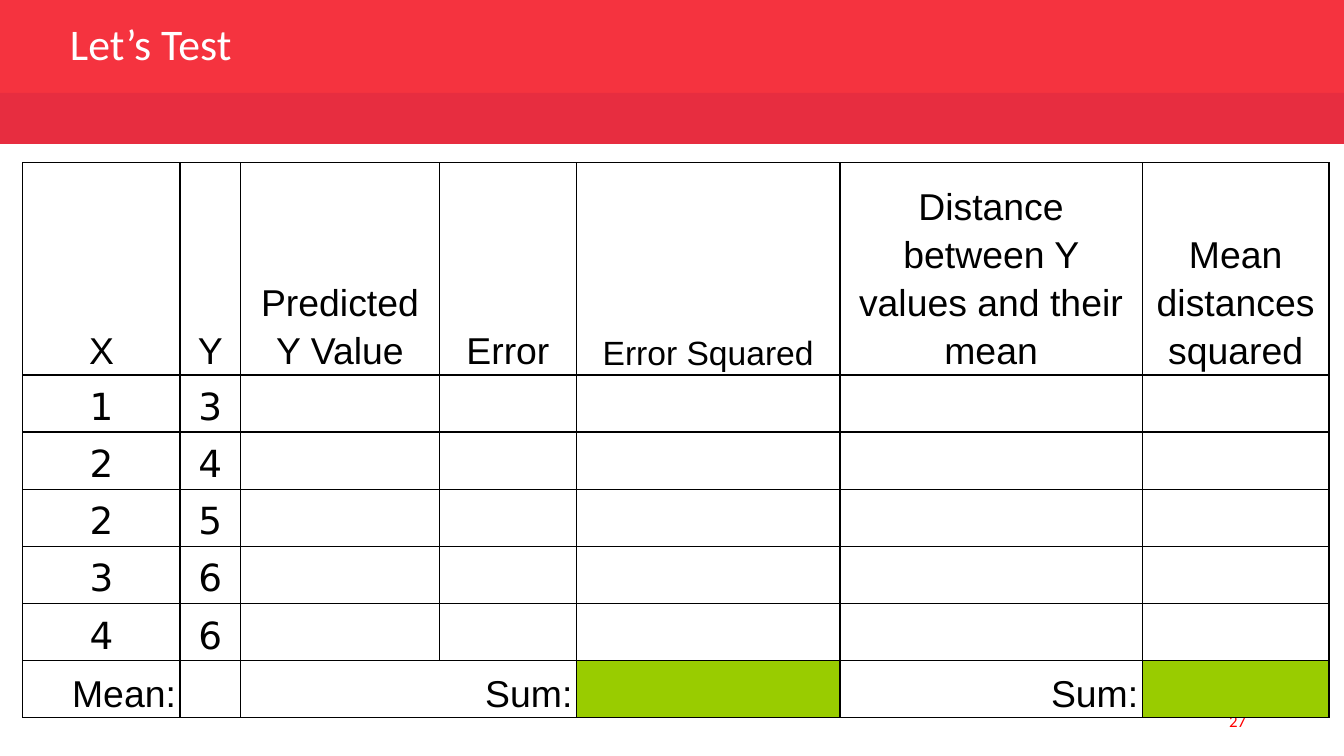
"""Build the "Let's Test" slide with its regression error worksheet."""
import pptx
import pptx.dml.color
import pptx.enum.shapes
import pptx.enum.text
import pptx.oxml
import pptx.oxml.ns
import pptx.util

Inches, Pt = pptx.util.Inches, pptx.util.Pt
ALIGN = pptx.enum.text.PP_ALIGN
ANCHOR = pptx.enum.text.MSO_ANCHOR

TITLE = "Let’s Test"
PAGE = "27"
HEADERS = ["X", "Y", "Predicted Y Value", "Error", "Error Squared",
           "Distance between Y values and their mean", "Mean distances squared"]
POINTS = [(1, 3), (2, 4), (2, 5), (3, 6), (4, 6)]
TOTALS = ["Mean:", "", "Sum:", "", "", "Sum:", ""]
ROWS = [HEADERS] + [[str(x), str(y)] + [""] * 5 for x, y in POINTS] + [TOTALS]
COL_WIDTHS = [1.17, 0.45, 1.48, 1.02, 1.96, 2.25, 1.39]
TABLE_BOX = (0.17, 1.21, 9.72, 4.13)
HEADER_HEIGHT = 1.58
BANDS = {"header": ((0, 0, 10, 0.7), "F5333F"), "strip": ((0, 0.69, 10, 0.38), "E72D40")}
RESULT_COLS = (4, 6)
BODY_INSETS = {"margin_left": 0.03, "margin_right": 0.03, "margin_top": 0.02, "margin_bottom": 0.02}
HEADER_INSETS = {**BODY_INSETS, "margin_left": 0.04, "margin_right": 0.04}


def rgb(value):
    return pptx.dml.color.RGBColor.from_string(value)


def box(values):
    return [Inches(v) for v in values]


def apply(obj, formats):
    for name, value in formats.items():
        setattr(obj, name, value)


def write(tf, text, size, font, color, **paragraph):
    p = tf.paragraphs[0]
    apply(p, paragraph)
    r = p.add_run()
    r.text = text
    apply(r.font, {"size": Pt(size), "name": font})
    r.font.color.rgb = rgb(color)


def add_band(s, name):
    place, color = BANDS[name]
    sp = s.shapes.add_shape(pptx.enum.shapes.MSO_SHAPE.RECTANGLE, *box(place))
    sp.shadow.inherit = False
    sp.fill.solid()
    sp.fill.fore_color.rgb = rgb(color)
    sp.line.fill.background()
    return sp


def add_borders(cell):
    tcPr = cell._tc.get_or_add_tcPr()
    for side in "LRTB":
        tcPr.append(pptx.oxml.parse_xml(
            f'<a:ln{side} {pptx.oxml.ns.nsdecls("a")} w="{Pt(0.75)}"><a:solidFill>'
            f'<a:srgbClr val="000000"/></a:solidFill></a:ln{side}>'))


def format_cell(cell, row, col):
    last = len(ROWS) - 1
    insets = BODY_INSETS if row else HEADER_INSETS
    apply(cell, {name: Inches(v) for name, v in insets.items()})
    cell.vertical_anchor = ANCHOR.BOTTOM
    add_borders(cell)
    if row == last and col in RESULT_COLS:
        cell.fill.solid()
        cell.fill.fore_color.rgb = rgb("99CC00")
    else:
        cell.fill.background()
    text = ROWS[row][col]
    if text:
        write(cell.text_frame, text, 18 if text == "Error Squared" else 20,
              "Arial" if row in (0, last) else "DejaVu Sans", "000000",
              alignment=ALIGN.RIGHT if row == last else ALIGN.CENTER, line_spacing=1.15)


def add_worksheet(s):
    table = s.shapes.add_table(len(ROWS), len(HEADERS), *box(TABLE_BOX)).table
    apply(table, {"first_row": False, "horz_banding": False})
    for column, width in zip(table.columns, COL_WIDTHS):
        column.width = Inches(width)
    body_height = (TABLE_BOX[3] - HEADER_HEIGHT) / (len(ROWS) - 1)
    for i, row in enumerate(table.rows):
        row.height = Inches(body_height if i else HEADER_HEIGHT)
        for j, cell in enumerate(row.cells):
            format_cell(cell, i, j)
    last = len(ROWS) - 1
    table.cell(last, 2).merge(table.cell(last, 3))


def main():
    prs = pptx.Presentation()
    apply(prs, {"slide_width": Inches(10), "slide_height": Inches(10) * 9 // 16})
    s = prs.slides.add_slide(prs.slide_layouts[5])

    title = s.shapes.title
    apply(title, dict(zip(("left", "top", "width", "height"), box((0.42, 0.14, 4.69, 0.44)))))
    title._element.addprevious(add_band(s, "header")._element)
    page = s.shapes.add_textbox(*box((7.12, 5.21, 2.25, 0.3)))
    for sp in (title, page):
        apply(sp.text_frame, {"word_wrap": True, "vertical_anchor": ANCHOR.MIDDLE,
                              "auto_size": pptx.enum.text.MSO_AUTO_SIZE.NONE})
    write(title.text_frame, TITLE, 23.4, "Calibri", "FFFFFF",
          alignment=ALIGN.LEFT, line_spacing=0.8)
    write(page.text_frame, PAGE, 9, "Calibri", "FF0000", alignment=ALIGN.RIGHT)

    add_band(s, "strip")
    add_worksheet(s)
    prs.save("out.pptx")


if __name__ == "__main__":
    main()
